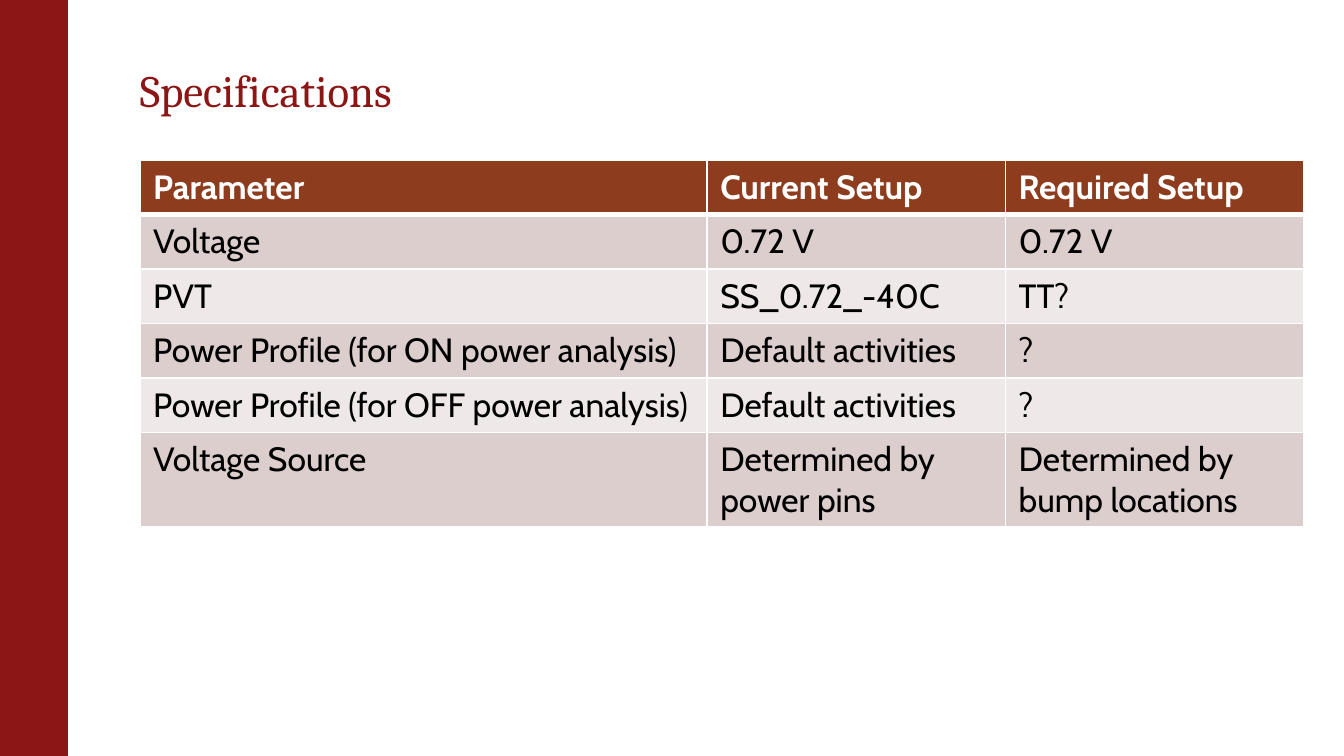
import lxml.etree
import pptx
import pptx.dml.color
import pptx.enum.shapes
import pptx.enum.text
import pptx.oxml.ns
import pptx.util

Pt = pptx.util.Pt

COLOURS = {
    "cardinal": "8C1515",
    "header": "8D3C1E",
    "dark_band": "DBCECD",
    "light_band": "EEE8E8",
    "white": "FFFFFF",
    "black": "000000",
}

ROWS = [
    ["Parameter", "Current Setup", "Required Setup"],
    ["Voltage", "0.72 V", "0.72 V"],
    ["PVT", "SS_0.72_-40C", "TT?"],
    ["Power Profile (for ON power analysis)", "Default activities", "?"],
    ["Power Profile (for OFF power analysis)", "Default activities", "?"],
    ["Voltage Source", "Determined by power pins", "Determined by bump locations"],
]
COLUMN_WIDTHS = [303.8, 159.9, 159.9]
ROW_HEIGHTS = [29.2] * 5 + [50.8]


def rgb(name):
    return pptx.dml.color.RGBColor.from_string(COLOURS[name])


def write_text(frame, text, font, size, colour, bold=False, line_spacing=None):
    para = frame.paragraphs[0]
    if line_spacing:
        para.line_spacing = line_spacing
    span = para.add_run()
    span.text = text
    span.font.name = font
    span.font.size = Pt(size)
    span.font.bold = bold
    span.font.color.rgb = rgb(colour)


class SlideBuilder:
    title_font = "Cambria"
    body_font = "Cabin"

    def __init__(self, page):
        self.page = page

    def bar(self, left, top, width, height, colour):
        shape = self.page.shapes.add_shape(
            pptx.enum.shapes.MSO_SHAPE.RECTANGLE,
            Pt(left), Pt(top), Pt(width), Pt(height))
        shape.shadow.inherit = False
        shape.fill.solid()
        shape.fill.fore_color.rgb = rgb(colour)
        shape.line.color.rgb = rgb(colour)
        shape.line.width = Pt(0.75)

    def title(self, text, left, top, width, height):
        box = self.page.shapes.add_textbox(Pt(left), Pt(top), Pt(width), Pt(height))
        frame = box.text_frame
        frame.word_wrap = True
        frame.margin_left = 0
        frame.vertical_anchor = pptx.enum.text.MSO_ANCHOR.BOTTOM
        write_text(frame, text, font=self.title_font, size=24,
                   colour="cardinal", line_spacing=0.85)

    def borders(self, cell, widths):
        properties = cell._tc.get_or_add_tcPr()
        for side, width in widths.items():
            line = lxml.etree.SubElement(
                properties, pptx.oxml.ns.qn(f"a:ln{side}"), w=str(Pt(width)))
            fill = lxml.etree.SubElement(line, pptx.oxml.ns.qn("a:solidFill"))
            lxml.etree.SubElement(
                fill, pptx.oxml.ns.qn("a:srgbClr"), val=COLOURS["white"])

    def table(self, rows, left, top, column_widths, row_heights):
        table = self.page.shapes.add_table(
            len(rows), len(column_widths), Pt(left), Pt(top),
            Pt(sum(column_widths)), Pt(sum(row_heights))).table
        for column, width in zip(table.columns, column_widths):
            column.width = Pt(width)
        for index, (row, height, texts) in enumerate(zip(table.rows, row_heights, rows)):
            row.height = Pt(height)
            header = index == 0
            band = "header" if header else "dark_band" if index % 2 else "light_band"
            for cell, text in zip(row.cells, texts):
                self.borders(cell, {"L": 1, "R": 1, "T": 3 if index == 1 else 1,
                                    "B": 3 if header else 1})
                cell.fill.solid()
                cell.fill.fore_color.rgb = rgb(band)
                write_text(cell.text_frame, text, font=self.body_font, size=18,
                           colour="white" if header else "black", bold=header)


def main():
    deck = pptx.Presentation()
    deck.slide_width = Pt(720)
    deck.slide_height = Pt(405)
    builder = SlideBuilder(deck.slides.add_slide(deck.slide_layouts[6]))
    builder.bar(0, 0, 36, 405, "cardinal")
    builder.title("Specifications", 74.9, 28.1, 634.3, 38.2)
    builder.table(ROWS, 74.9, 85.7, COLUMN_WIDTHS, ROW_HEIGHTS)
    deck.save("out.pptx")


if __name__ == "__main__":
    main()
